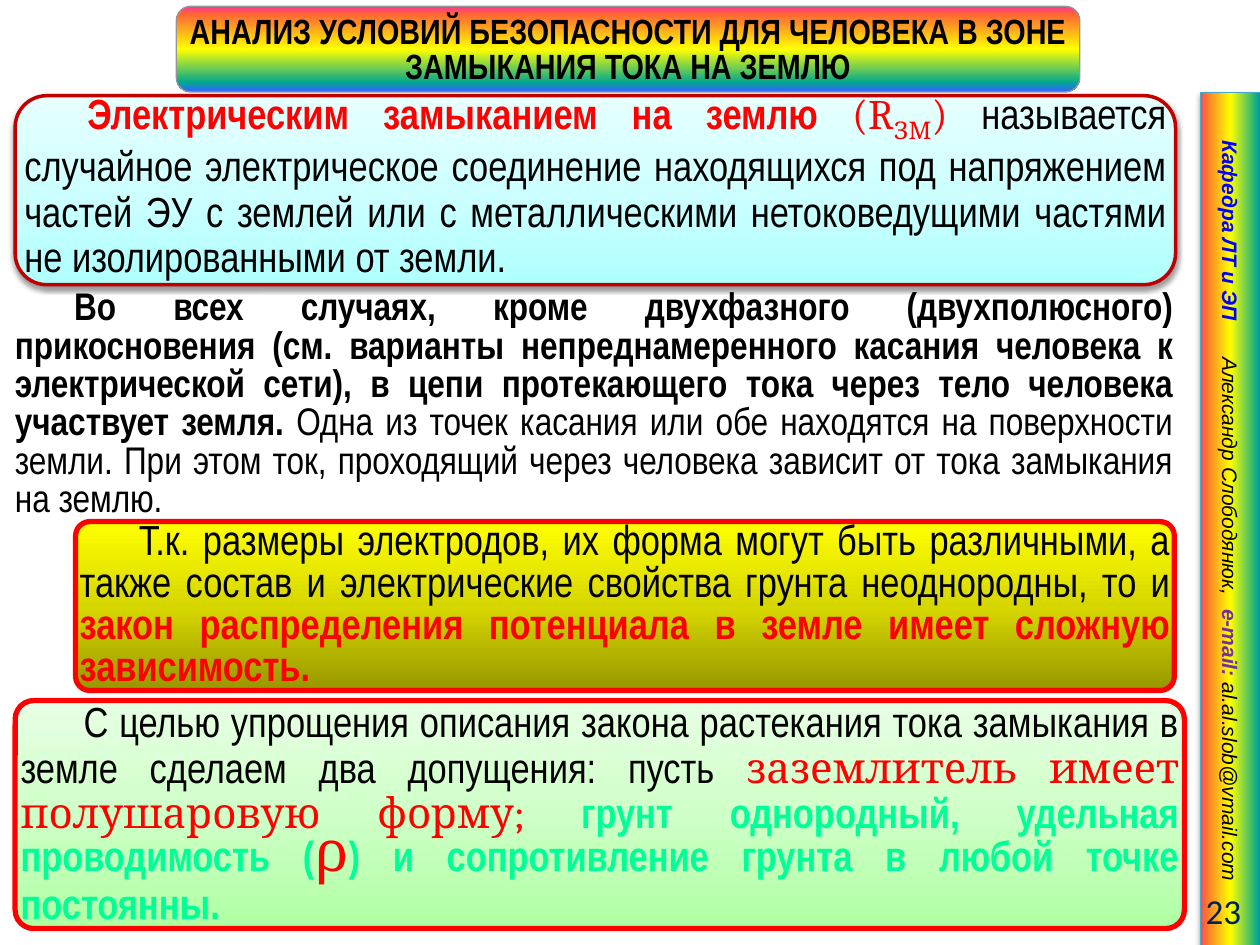
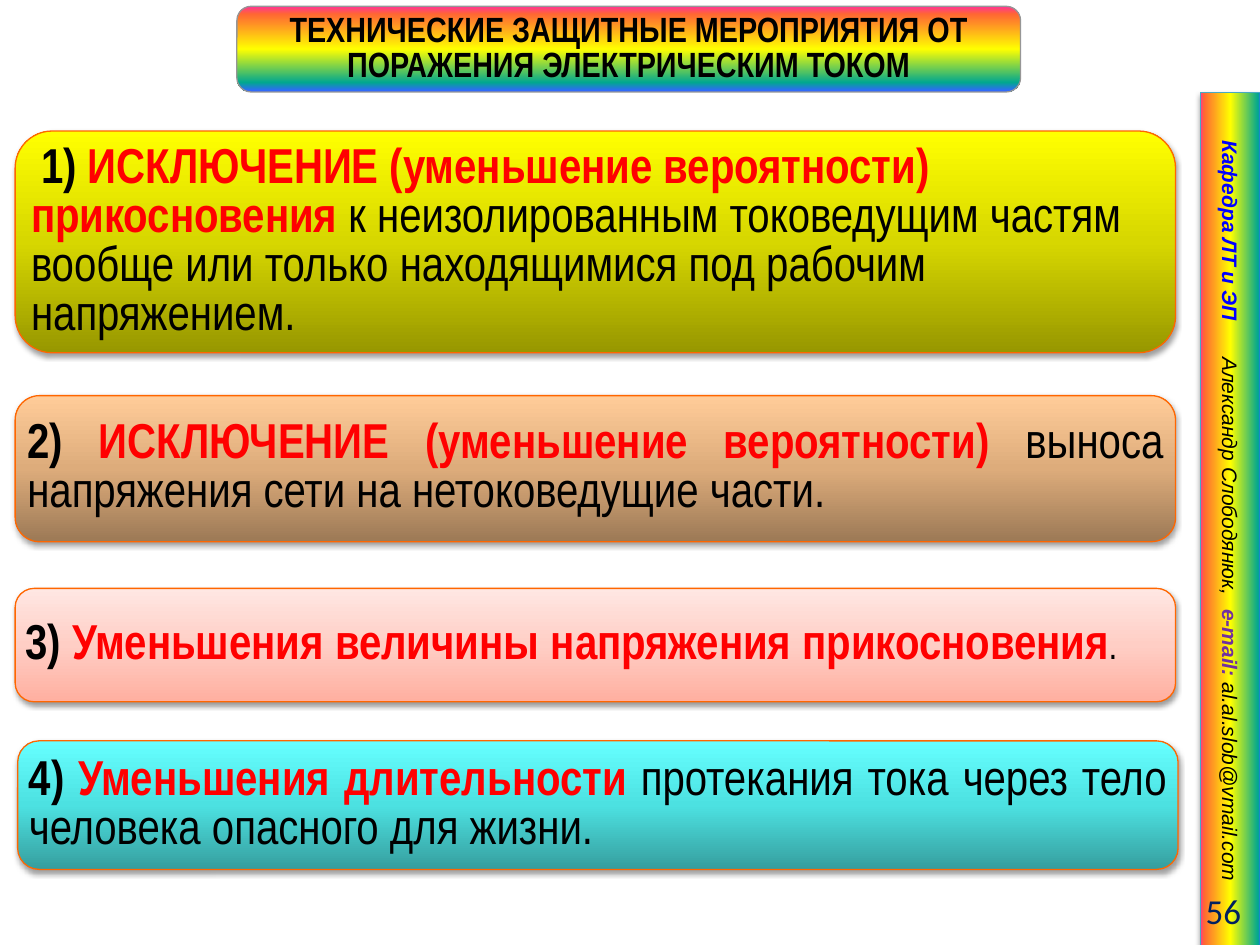
from lxml import etree
from pptx import Presentation
from pptx.dml.color import RGBColor
from pptx.enum.shapes import MSO_SHAPE
from pptx.enum.text import MSO_ANCHOR, MSO_AUTO_SIZE, PP_ALIGN
from pptx.oxml.ns import qn
from pptx.util import Inches, Pt

ROUNDED, RECTANGLE = MSO_SHAPE.ROUNDED_RECTANGLE, MSO_SHAPE.RECTANGLE
TOP, MIDDLE = MSO_ANCHOR.TOP, MSO_ANCHOR.MIDDLE
LEFT, CENTER, RIGHT, JUSTIFY = PP_ALIGN.LEFT, PP_ALIGN.CENTER, PP_ALIGN.RIGHT, PP_ALIGN.JUSTIFY

BLACK = RGBColor(0x00, 0x00, 0x00)
RED = RGBColor(0xFF, 0x00, 0x00)
DARK_RED = RGBColor(0xC0, 0x00, 0x00)
ORANGE = RGBColor(0xFF, 0x66, 0x00)
MINT = RGBColor(0x00, 0xFF, 0x99)
BLUE = RGBColor(0x00, 0x00, 0xFF)
NAVY = RGBColor(0x00, 0x20, 0x60)
PURPLE = RGBColor(0x70, 0x30, 0xA0)
GRAY = RGBColor(0x96, 0x96, 0x96)
TEAL = RGBColor(0x46, 0xAA, 0xC5)

RAINBOW = ("FF3399", "FF6633", "FFFF00", "01A78F", "3366FF")
TITLE_STOPS = list(zip((0, 9, 50, 89, 99), RAINBOW))
SIDEBAR_STOPS = list(zip((0, 6, 50, 96, 100), RAINBOW))
THIRDS = (0, 50, 100)
YELLOW_STOPS = list(zip(THIRDS, ("979700", "D7D700", "FFFF00")))
GREEN_STOPS = list(zip(THIRDS, ("AFFFA3", "CEFFC7", "E7FFE4")))
PALE_CYAN_STOPS = list(zip(THIRDS, ("AFFFFF", "CEFFFF", "E7FFFF")))
TAN_STOPS = list(zip(THIRDS, ("9C7956", "DDAC7B", "FFCC99")))
PINK_STOPS = list(zip(THIRDS, ("FFAFA0", "FFCEC5", "FFE7E3")))
CYAN_STOPS = list(zip(THIRDS, ("369E9E", "4CE1E1", "66FFFF")))

NARROW, SERIF = "Arial Narrow", "Cambria"
SIDEBAR_TABS = (2.12, 4.12)


def add_band(page, kind, place, stops, angle, line_color, line_width, shadow=True, corner=None):
    band = page.shapes.add_shape(kind, *[Inches(value) for value in place])
    if corner is not None:
        band.adjustments[0] = corner
    band.fill.gradient()
    band.fill.gradient_angle = angle
    properties = band._element.spPr
    stop_list = properties.find(qn("a:gradFill")).find(qn("a:gsLst"))
    for old_stop in list(stop_list):
        stop_list.remove(old_stop)
    for position, color in stops:
        stop = etree.SubElement(stop_list, qn("a:gs"), pos=str(position * 1000))
        etree.SubElement(stop, qn("a:srgbClr"), val=color)
    band.line.color.rgb = line_color
    band.line.width = Pt(line_width)
    band.shadow.inherit = False
    if shadow:
        effects = properties.find(qn("a:effectLst"))
        outer = etree.SubElement(effects, qn("a:outerShdw"), blurRad=str(Pt(3.1)),
                                 dist=str(Pt(1.6)), dir="5400000", rotWithShape="0")
        tint = etree.SubElement(outer, qn("a:srgbClr"), val="000000")
        etree.SubElement(tint, qn("a:alpha"), val="38000")
    return band


def write(box, spans, size, spacing=None, align=JUSTIFY, indent=0, font=NARROW,
          insets=(0.04, 0.04, 0.04, 0.04), anchor=MIDDLE):
    frame = box.text_frame
    frame.word_wrap = True
    frame.auto_size = MSO_AUTO_SIZE.NONE
    frame.vertical_anchor = anchor
    frame.margin_left, frame.margin_top, frame.margin_right, frame.margin_bottom = [
        Inches(value) for value in insets]
    para = frame.paragraphs[0]
    para.alignment = align
    para.font.name = font
    para.font.size = Pt(size)
    if spacing:
        para.line_spacing = Pt(spacing)
    if indent:
        para._p.get_or_add_pPr().set("marL", "0")
        para._p.get_or_add_pPr().set("indent", str(Inches(indent)))
    for text, color, bold, *special in spans:
        span = para.add_run()
        span.text = text
        span.font.color.rgb = color
        span.font.bold = bold
        for key, value in (special[0] if special else {}).items():
            if key == "baseline":
                span._r.get_or_add_rPr().set("baseline", str(value))
            else:
                setattr(span.font, key, value)
    return para


SERIF_RUN = {"name": SERIF}
FLAT = (0, 0.04, 0, 0.04)

ground_fault_panels = [
    dict(place=(0.12, 5.56, 9.28, 1.81), stops=GREEN_STOPS, line=RED, width=3, shadow=False,
         corner=0.082, text=dict(size=24, spacing=26, indent=0.5, insets=FLAT), spans=[
        ("С целью упрощения описания закона растекания тока замыкания в земле сделаем "
         "два допущения: пусть ", BLACK, False),
        ("заземлитель имеет полушаровую форму; ", RED, False, SERIF_RUN),
        ("грунт однородный, удельная проводимость (", MINT, True),
        ("ρ", RED, False, {"name": SERIF, "size": Pt(32)}),
        (") и сопротивление грунта в любой точке постоянны.", MINT, True)]),
    dict(place=(0.12, 0.76, 9.21, 1.5), stops=PALE_CYAN_STOPS, line=DARK_RED, width=2,
         shadow=True, corner=None,
         text=dict(size=24, spacing=26, indent=0.5, insets=(0, 0, 0, 0)), spans=[
        ("Электрическим замыканием на землю ", RED, True),
        ("(R", RED, False, SERIF_RUN),
        ("ЗМ", RED, False, {"name": SERIF, "baseline": -25000}),
        (") ", RED, False, SERIF_RUN),
        ("называется случайное электрическое соединение находящихся под напряжением "
         "частей ЭУ с землей или с металлическими нетоковедущими частями не "
         "изолированными от земли.", BLACK, False)]),
    dict(place=(0.6, 4.14, 8.72, 1.34), stops=YELLOW_STOPS, line=RED, width=3, shadow=False,
         corner=0.084, text=dict(size=24, spacing=24, indent=0.47, insets=FLAT), spans=[
        ("Т.к. размеры электродов, их форма могут быть различными, а также состав и "
         "электрические свойства грунта неоднородны, то и ", BLACK, False),
        ("закон распределения потенциала в земле имеет сложную зависимость.", RED, True)]),
]

measures = [
    ((0.12, 1.04, 9.21, 1.76), YELLOW_STOPS, dict(align=LEFT, indent=0.08), [
        ("ИСКЛЮЧЕНИЕ (уменьшение вероятности) прикосновения ", RED, True),
        ("к неизолированным токоведущим частям вообще или только находящимися под "
         "рабочим напряжением.", BLACK, False)]),
    ((0.12, 3.14, 9.21, 1.16), TAN_STOPS, {}, [
        ("ИСКЛЮЧЕНИЕ (уменьшение вероятности)", RED, True),
        (" выноса напряжения сети на нетоковедущие части.", BLACK, False)]),
    ((0.12, 4.67, 9.21, 0.9), PINK_STOPS, {}, [
        ("Уменьшения величины напряжения прикосновения", RED, True),
        (".", BLACK, False, {"size": Pt(22)})]),
    ((0.14, 5.88, 9.21, 1.02), CYAN_STOPS, {}, [
        ("Уменьшения длительности ", RED, True),
        ("протекания тока через тело человека опасного для жизни.", BLACK, False)]),
]
measure_panels = [
    dict(place=place, stops=stops, line=ORANGE, width=0.75, shadow=True, corner=None,
         text=dict(size=28, spacing=28, **layout),
         spans=[(f"{number}) ", BLACK, True)] + spans)
    for number, (place, stops, layout, spans) in enumerate(measures, 1)
]

pages = [
    ("АНАЛИЗ УСЛОВИЙ БЕЗОПАСНОСТИ ДЛЯ ЧЕЛОВЕКА В ЗОНЕ ЗАМЫКАНИЯ ТОКА НА ЗЕМЛЮ",
     (1.4, 0.05, 7.17, 0.68), 0, "23", ground_fault_panels),
    ("ТЕХНИЧЕСКИЕ ЗАЩИТНЫЕ МЕРОПРИЯТИЯ ОТ ПОРАЖЕНИЯ ЭЛЕКТРИЧЕСКИМ ТОКОМ",
     (1.88, 0.05, 6.22, 0.68), 0.04, "56", measure_panels),
]

deck = Presentation()
deck.slide_width, deck.slide_height = Inches(10), Inches(7.5)

for title_text, title_place, title_bottom, number, panels in pages:
    page = deck.slides.add_slide(deck.slide_layouts[5])

    sidebar = add_band(page, RECTANGLE, (6.38, 3.88, 6.77, 0.48), SIDEBAR_STOPS, 90, TEAL, 0.75)
    sidebar.rotation = 90
    para = write(sidebar, [
        ("Кафедра ЛТ и ЭП\t", BLUE, True),
        ("Александр Слободянюк,\t", BLACK, False),
        ("e-mail: ", PURPLE, True),
        ("al.al.slob@vmail.com", BLACK, False),
    ], 12, align=LEFT, indent=0.28, font="Arial", insets=(0.1, 0.05, 0.1, 0.05))
    para.font.italic = True
    tabs = etree.Element(qn("a:tabLst"))
    for position in SIDEBAR_TABS:
        etree.SubElement(tabs, qn("a:tab"), pos=str(Inches(position)), algn="l")
    para._p.pPr.find(qn("a:defRPr")).addprevious(tabs)

    number_box = page.shapes.add_textbox(Inches(8.86), Inches(7.03), Inches(1.09), Inches(0.4))
    write(number_box, [(number, NAVY, False)], 20, align=RIGHT, font="Calibri",
          insets=(0.1, 0.05, 0.1, 0.05))

    add_band(page, ROUNDED, title_place, TITLE_STOPS, 270, GRAY, 0.75, shadow=False)
    title = page.shapes.title
    title.left, title.top, title.width, title.height = [Inches(value) for value in title_place]
    write(title, [(title_text, BLACK, True)], 20, spacing=20, align=CENTER,
          insets=(0.04, 0.04, 0.04, title_bottom))
    page.shapes._spTree.append(title._element)

    for panel in panels:
        band = add_band(page, ROUNDED, panel["place"], panel["stops"], 90, panel["line"],
                        panel["width"], panel["shadow"], panel["corner"])
        write(band, panel["spans"], **panel["text"])

cases = deck.slides[0].shapes.add_textbox(Inches(0.02), Inches(2.25), Inches(9.39), Inches(1.95))
write(cases, [
    ("Во всех случаях, кроме двухфазного (двухполюсного) прикосновения (см. варианты "
     "непреднамеренного касания человека к электрической сети), в цепи протекающего тока "
     "через тело человека участвует земля. ", BLACK, True),
    ("Одна из точек касания или обе находятся на поверхности земли. При этом ток, "
     "проходящий через человека зависит от тока замыкания на землю.", BLACK, False),
], 22, spacing=22, indent=0.47, insets=(0.1, 0.05, 0.1, 0.05), anchor=TOP)

deck.save("out.pptx")
